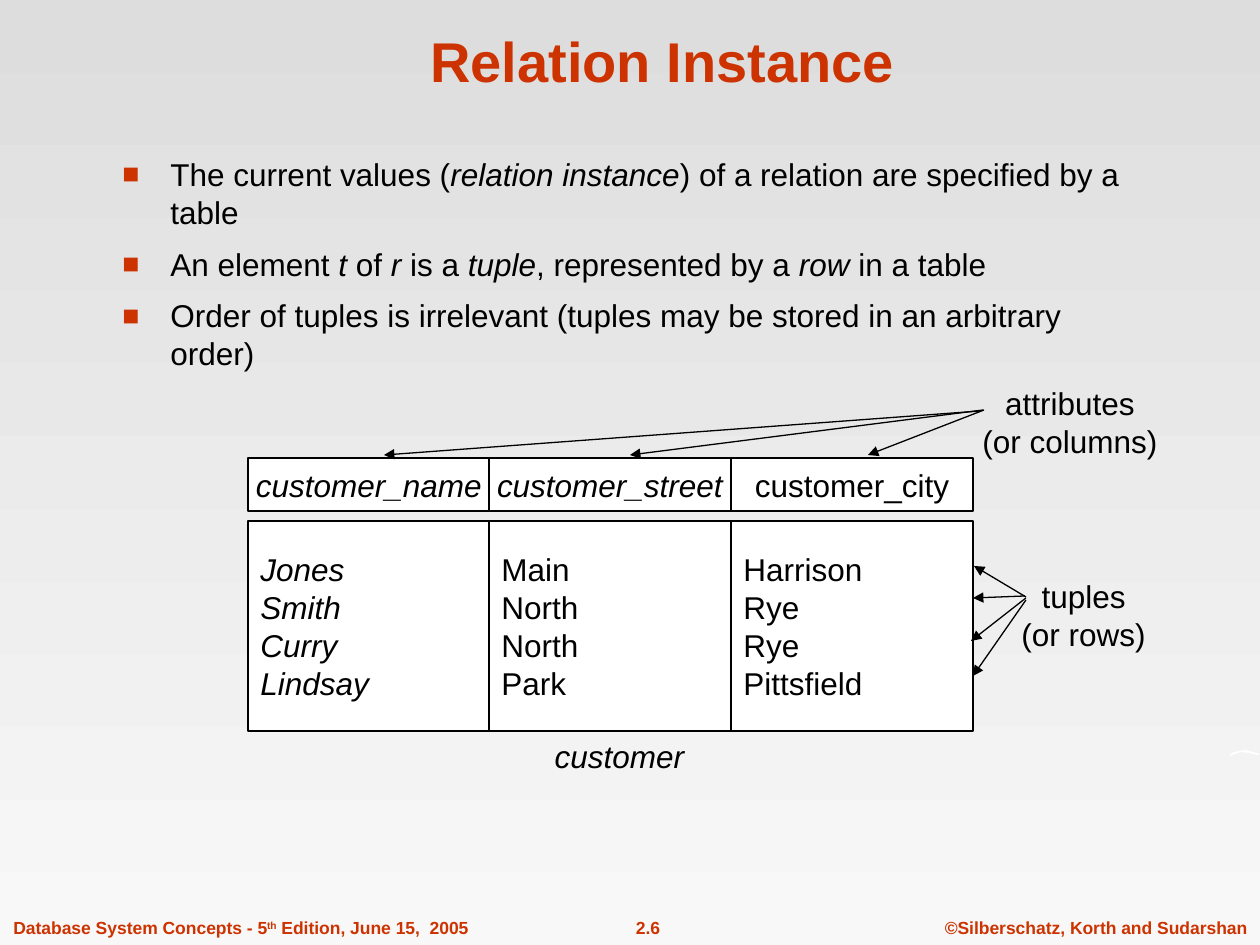
from lxml import etree
from pptx import Presentation
from pptx import util as u
from pptx.dml.color import RGBColor
from pptx.enum import shapes, text
from pptx.oxml import ns

PX = 914400 / 126
COLORS = {"accent": "CC3300", "ink": "000000", "paper": "FFFFFF",
          "top": "DDDDDD", "bottom": "F8F8F8"}
LEFT, CENTER = text.PP_ALIGN.LEFT, text.PP_ALIGN.CENTER
TOP, MIDDLE, BOTTOM = text.MSO_ANCHOR.TOP, text.MSO_ANCHOR.MIDDLE, text.MSO_ANCHOR.BOTTOM


def emu(px):
    return u.Emu(round(px * PX))


def rgb(name):
    return RGBColor.from_string(COLORS[name])


class Painter:
    """Holds the text style and the current slide."""
    font = "Arial"
    line_width = u.Pt(0.75)

    def __init__(self, page):
        self.page = page

    def background(self, first, last):
        fill = self.page.background.fill
        fill.gradient()
        fill.gradient_angle = 270
        for stop, name in zip(fill.gradient_stops, (first, last)):
            stop.color.rgb = rgb(name)

    def fill_text(self, box, paras, size=18, color="ink", bold=False, align=LEFT,
                  anchor=TOP, wrap=False, before=0, bullet=False):
        """Each paragraph is a list of (text, style); style is "", "i" or "sup"."""
        frame = box.text_frame
        frame.word_wrap = wrap
        frame.vertical_anchor = anchor
        for index, runs in enumerate(paras):
            para = frame.paragraphs[0] if index == 0 else frame.add_paragraph()
            para.alignment = align
            para.line_spacing = u.Pt(size * 1.2)
            para.space_before = u.Pt(before)
            if bullet:
                self.bullet(para)
            for words, style in runs:
                span = para.add_run()
                span.text = words
                font = span.font
                font.name, font.size, font.bold = self.font, u.Pt(size), bold
                font.italic = style == "i"
                font.color.rgb = rgb(color)
                if style == "sup":
                    span._r.get_or_add_rPr().set("baseline", "30000")

    def bullet(self, para):
        props = para._p.get_or_add_pPr()
        props.set("marL", str(emu(48)))
        props.set("indent", str(-emu(48)))
        color = etree.SubElement(props, ns.qn("a:buClr"))
        etree.SubElement(color, ns.qn("a:srgbClr"), val=COLORS["accent"])
        etree.SubElement(props, ns.qn("a:buSzPct"), val="90000")
        etree.SubElement(props, ns.qn("a:buFont"), typeface=self.font)
        etree.SubElement(props, ns.qn("a:buChar"), char="■")

    def label(self, x, y, w, h, paras, **style):
        box = self.page.shapes.add_textbox(emu(x), emu(y), emu(w), emu(h))
        self.fill_text(box, paras, **style)

    def cell(self, x, y, w, h, paras, **style):
        box = self.page.shapes.add_shape(
            shapes.MSO_SHAPE.RECTANGLE, emu(x), emu(y), emu(w), emu(h))
        box.shadow.inherit = False
        box.fill.solid()
        box.fill.fore_color.rgb = rgb("paper")
        box.line.color.rgb = rgb("ink")
        box.line.width = self.line_width
        self.fill_text(box, paras, anchor=MIDDLE, **style)

    def arrow(self, start, end):
        arrow = self.page.shapes.add_connector(
            shapes.MSO_CONNECTOR.STRAIGHT, *map(emu, start + end))
        arrow.line.color.rgb = rgb("ink")
        arrow.line.width = self.line_width
        props = arrow._element.spPr
        etree.SubElement(props.find(ns.qn("a:ln")), ns.qn("a:tailEnd"), type="triangle")
        etree.SubElement(props, ns.qn("a:effectLst"))

    def outline(self, points):
        builder = self.page.shapes.build_freeform(*points[0], scale=PX)
        builder.add_line_segments(points[1:], close=True)
        form = builder.convert_to_shape()
        form.shadow.inherit = False
        form.fill.solid()
        form.fill.fore_color.rgb = rgb("paper")
        form.line.fill.background()


def main():
    deck = Presentation()
    deck.slide_width, deck.slide_height = emu(1260), emu(945)
    painter = Painter(deck.slides.add_slide(deck.slide_layouts[6]))
    painter.background("top", "bottom")

    # Footer
    footer = dict(size=10, color="accent", bold=True, before=6.2)
    painter.label(932, 911, 328, 34, [[("©Silberschatz, Korth and Sudarshan", "")]],
                  align=CENTER, **footer)
    painter.label(586, 911, 124, 34, [[("2.6", "")]], align=CENTER, **footer)
    painter.label(1, 911, 480, 34, [[("Database System Concepts - 5", ""), ("th", "sup"),
                                     (" Edition, June 15,  2005", "")]], **footer)

    # White stroke at the right edge
    painter.outline([(1229, 757), (1232, 753), (1238, 751), (1246, 750), (1253, 752),
                     (1260, 754), (1257, 755), (1249, 753), (1241, 752), (1235, 754)])

    # Title and bullets
    painter.label(106, 16, 1113, 84, [[("Relation Instance", "")]], size=32,
                  color="accent", bold=True, align=CENTER, anchor=BOTTOM, wrap=True)
    painter.label(110, 149, 1056, 272, [
        [("The current values (", ""), ("relation instance", "i"),
         (") of a relation are specified by a table", "")],
        [("An element ", ""), ("t", "i"), (" of ", ""), ("r", "i"), (" is a ", ""),
         ("tuple", "i"), (", represented by a ", ""), ("row ", "i"), ("in a table", "")],
        [("Order of tuples is irrelevant (tuples may be stored in an arbitrary order)", "")],
    ], wrap=True, before=7.9, bullet=True)

    # Relation: a header cell above one block of values per column
    columns = [
        ("customer_name", "i", ["Jones", "Smith", "Curry", "Lindsay"], "i"),
        ("customer_street", "i", ["Main", "North", "North", "Park"], ""),
        ("customer_city", "", ["Harrison", "Rye", "Rye", "Pittsfield"], ""),
    ]
    for index, (name, name_style, values, value_style) in enumerate(columns):
        x = 248 + index * 725 // 3
        painter.cell(x, 521, 242, 210, [[(value, value_style)] for value in values])
        painter.cell(x, 458, 242, 53, [[(name, name_style)]], align=CENTER)
    painter.label(542, 731, 155, 50, [[("customer", "i")]],
                  align=CENTER, anchor=MIDDLE, before=11.2)

    # Callouts with their arrows
    callouts = [
        (970, 378, 200, ["attributes", "(or columns)"],
         [((980, 411), (384, 455)), ((983, 410), (630, 455)), ((984, 410), (868, 455))]),
        (1009, 571, 149, ["tuples", "(or rows)"],
         [((1026, 597), (974, 566)), ((1025, 596), (973, 598)),
          ((1026, 598), (971, 641)), ((1026, 600), (973, 676))]),
    ]
    for x, y, w, lines, arrows in callouts:
        painter.label(x, y, w, 88, [[(line, "")] for line in lines], align=CENTER)
        for start, end in arrows:
            painter.arrow(start, end)

    deck.save("out.pptx")


if __name__ == "__main__":
    main()
